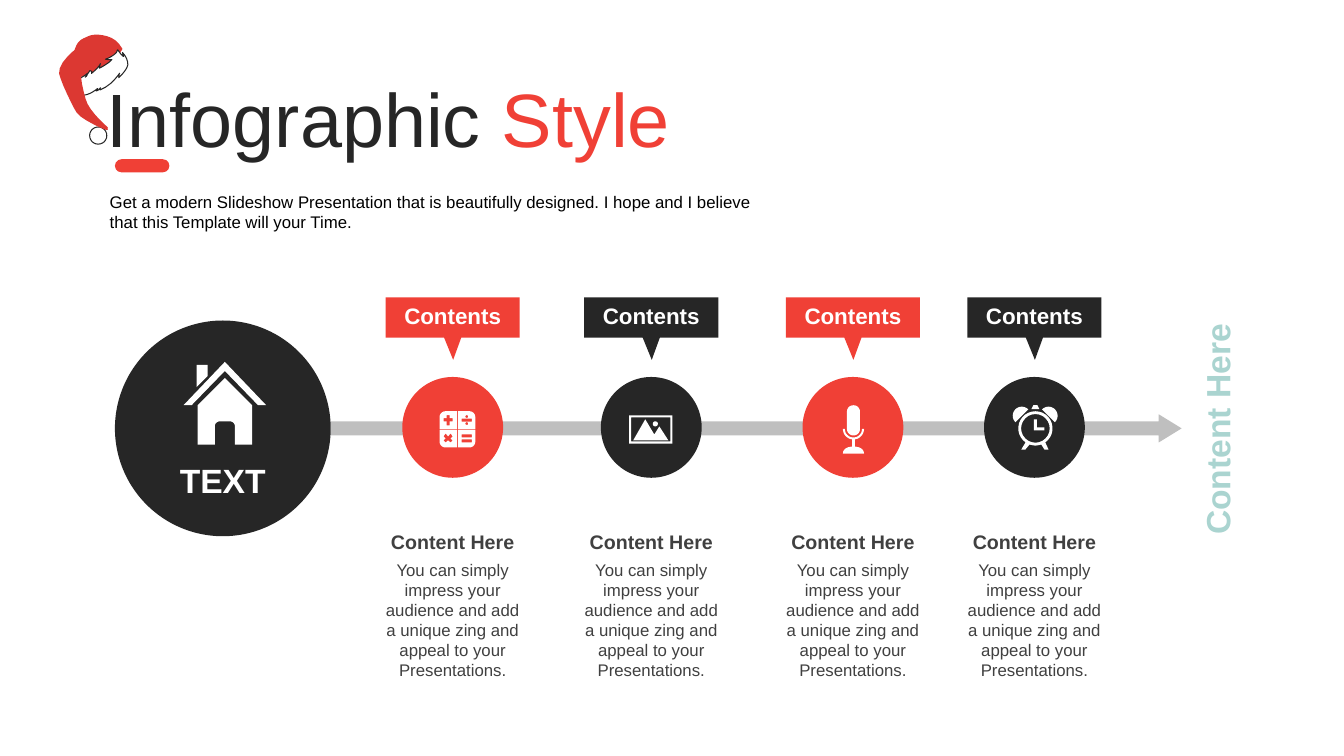
from math import cos, radians, sin

from pptx import Presentation
from pptx.dml.color import RGBColor
from pptx.enum.shapes import MSO_SHAPE
from pptx.enum.text import MSO_ANCHOR, MSO_AUTO_SIZE, PP_ALIGN
from pptx.util import Inches, Pt

HUES = {"red": "F04036", "dark": "262626", "gray": "BFBFBF", "text": "404040",
        "mint": "AAD4D0", "white": "FFFFFF", "black": "000000", "hat": "DC3832"}
CELL = Inches(0.01)
WIDE, HIGH = 1333, 750
BODY = ("You can simply impress your audience and add a unique zing "
        "and appeal to your Presentations.")


def hue(name):
    """Return a named colour."""
    return RGBColor.from_string(HUES[name])


def pts(text):
    """Turn 'x,y x,y' into a list of points."""
    return [tuple(float(n) for n in pair.split(",")) for pair in text.split()]


def arc(x, y, r, start=0, end=360):
    """Return points along a circular arc, in degrees."""
    turns = [radians(start + (end - start) * i / 24) for i in range(25)]
    return [(x + r * cos(t), y + r * sin(t)) for t in turns]


def box(x, y, w, h):
    """Return the corners of a rectangle."""
    return [(x, y), (x + w, y), (x + w, y + h), (x, y + h)]


def bend(text):
    """Sample a chain of cubic curves."""
    knots = pts(text)
    out = knots[:1]
    for i in range(0, len(knots) - 1, 3):
        for t in (n / 6 for n in range(1, 7)):
            mix = ((1 - t) ** 3, 3 * t * (1 - t) ** 2, 3 * t * t * (1 - t), t ** 3)
            out.append(tuple(sum(m * k[axis] for m, k in zip(mix, knots[i:i + 4]))
                             for axis in (0, 1)))
    return out


def paint(shape, fill, edge=None):
    """Set the fill and outline of a shape and drop its shadow."""
    shape.shadow.inherit = False
    shape.fill.solid()
    shape.fill.fore_color.rgb = hue(fill)
    if edge:
        shape.line.color.rgb = hue(edge)
        shape.line.width = Pt(0.75)
    else:
        shape.line.fill.background()
    return shape


def draw(slide, x, y, loops, fill, edge=None):
    """Draw closed outlines, given in cells from x and y."""
    fine = [[(round(a * 10), round(b * 10)) for a, b in loop] for loop in loops]
    pen = slide.shapes.build_freeform(*fine[0][0], scale=CELL / 10)
    for i, loop in enumerate(fine):
        if i:
            pen.move_to(*loop[0])
        pen.add_line_segments(loop[1:], close=True)
    return paint(pen.convert_to_shape(x * CELL, y * CELL), fill, edge)


def form(slide, kind, x, y, w, h, fill):
    """Add a preset shape."""
    cells = (n * CELL for n in (x, y, w, h))
    return paint(slide.shapes.add_shape(kind, *cells), fill)


def write(shape, runs, size, bold=False, align=PP_ALIGN.CENTER, anchor=MSO_ANCHOR.MIDDLE):
    """Fill a shape with one paragraph of coloured runs."""
    frame = shape.text_frame
    look = {"word_wrap": True, "auto_size": MSO_AUTO_SIZE.NONE, "vertical_anchor": anchor}
    for key, value in look.items():
        setattr(frame, key, value)
    para = frame.paragraphs[0]
    para.alignment = align
    for words, color in runs:
        run = para.add_run()
        run.text = words
        for key, value in {"name": "Arial", "size": Pt(size), "bold": bold}.items():
            setattr(run.font, key, value)
        run.font.color.rgb = hue(color)


def label(slide, x, y, w, h, words, color, size, **more):
    """Add a text box."""
    note = slide.shapes.add_textbox(*(n * CELL for n in (x, y, w, h)))
    write(note, [(words, color)], size, **more)
    return note


def calc():
    """Return the outlines of a calculator."""
    tile = arc(6, 6, 6, 180, 270) + pts("17.3,0 17.3,17.6 0,17.6")
    tiles = [[(abs(a - x), abs(b - y)) for x, y in tile] for a in (0, 35.5) for b in (0, 36)]
    plus = pts("7,4 10,4 10,7 13,7 13,10 10,10 10,14 7,14 7,10 4,10 4,7 7,7")
    times = pts("6,22 8.5,25 11,22 13,25 11,27 13,29 11,31 8.5,29 6,31 4,29 6,27 4,25")
    bars = [box(22, y, 10, 3) for y in (7.3, 23, 28)]
    return tiles + [plus, times, *bars, arc(27, 5.3, 1.4), arc(27, 12.3, 1.4)]


def photo():
    """Return the outlines of a framed landscape."""
    return [box(0, 0, 43, 28), box(2, 2, 39, 24),
            pts("4,25 16,4 25,19 30,11 39,25"), arc(26, 8.5, 2.5)]


def mic():
    """Return the outlines of a microphone."""
    return [arc(10.5, 6.5, 6.5, 180, 360) + arc(10.5, 23.5, 6.5, 0, 180),
            arc(10.5, 23.5, 10.5, 0, 180) + arc(10.5, 23.5, 8.5, 180, 0),
            box(9.2, 34, 2.6, 7), bend("0,48 0,43 5,41 10.5,41 16,41 21,43 21,48")]


def clock():
    """Return the outlines of an alarm clock."""
    case = (arc(22, 23, 17, 125, 415) + pts("35,44 31,44")
            + arc(22, 23, 17, 70, 110) + pts("12,44 8,44"))
    return [case, arc(22, 23, 14.2), pts("20.5,14 23.5,14 23.5,22 31,22 31,25 20.5,25"),
            arc(8.5, 10.5, 9, 135, 315), arc(35, 10.5, 9, 225, 405),
            pts("18,4 20,0 24,0 26,4")]


def house():
    """Return the outlines of a house."""
    door = arc(46, 64, 5, 270, 360) + pts("51,82 68,82 68,43 41,16 14,43 14,82 31,82")
    return [door + arc(36, 64, 5, 180, 270), pts("13,3 24,3 24,14 13,25"),
            pts("41,0 82,43 74,43 41,9 8,43 0,43")]


def hat(slide, x, y):
    """Draw the tilted winter hat."""
    crown = bend("8,38 7,37 5,36 4,35 3,27 7,19 12,14 16,8 19,2 26,1 33,0 33,-1 41,1 "
                 "50,4 58,9 61,21 56,26 50,31 44,36 37,36 28,36 22,37 17,37 14,37 8,38")
    fur = bend("65,24 65,26 65,28 65,28 64,27 64,26 63,25 62,22 61,20 61,20 59,25 47,26 47,26 "
               "49,27 53,28 53,28 49,31 39,33 39,33 39,32 41,29 41,29 39,32 30,36 30,36 "
               "32,34 29,33 29,33 26,36 23,38 23,38 26,37 26,35 26,35 26,35 20,38 14,38 "
               "8,39 7,35 7,35 5,39 8,44 8,44 7,45 6,43 6,43 8,47 13,53 13,53 "
               "12,53 11,52 11,52 11,54 13,55 13,55 14,55 16,55 17,55 24,56 32,52 32,52 "
               "31,54 30,54 30,54 33,54 35,52 35,52 34,53 34,54 34,54 46,53 57,43 57,43 "
               "56,44 55,47 55,47 55,47 65,42 67,37 69,31 65,24 65,24")
    tail = bend("31,97 31,97 14,84 10,75 7,66 3,42 3,33 4,23 26,12 30,13 35,13 28,31 25,37 "
                "22,42 22,55 22,64 22,74 30,88 36,97 35,98 37,102 31,97")
    parts = ((crown, "hat", None), (arc(36.5, 99.5, 8.5), "white", "dark"),
             (fur, "white", "dark"), (tail, "hat", None))
    for loop, fill, edge in parts:
        draw(slide, x, y, [loop], fill, edge).rotation = 345.1


def head(slide, x, y):
    """Place the title, its rule, its hat and the lead text."""
    title = slide.shapes.title
    place = {"left": x, "top": y, "width": 677, "height": 101}
    for key, value in place.items():
        setattr(title, key, value * CELL)
    write(title, [("Infographic", "dark"), (" Style", "red")], 54, align=PP_ALIGN.LEFT)
    label(slide, x + 3, y + 119, 674, 50,
          "Get a modern Slideshow Presentation that is beautifully designed. "
          "I hope and I believe that this Template will your Time.",
          "black", 12, align=PP_ALIGN.LEFT, anchor=MSO_ANCHOR.TOP)
    hat(slide, x - 35, y - 31)
    rule = form(slide, MSO_SHAPE.ROUNDED_RECTANGLE, x + 18, y + 92, 54, 13, "red")
    rule.adjustments[0] = 0.5


def axis(slide, x, y, size):
    """Place the start circle, the arrow and the upright caption."""
    arrow = form(slide, MSO_SHAPE.RIGHT_ARROW, x + size, y + 93, 844, 28, "gray")
    arrow.adjustments[1] = 0.812
    form(slide, MSO_SHAPE.OVAL, x, y, size, size, "dark")
    draw(slide, x + 68, y + 41, house(), "white")
    label(slide, x + 52, y + 133, 110, 50, "TEXT", "white", 24, bold=True)
    side = label(slide, x + 976, y + 83, 234, 50, "Content Here", "mint", 24, bold=True)
    side.rotation = 270


def step(slide, x, y, fill, icon, dx, dy):
    """Place one column: flag, icon circle, heading and text."""
    wide = 158
    flag = pts("0,0 133,0 133,40 75,40 67,62 58,40 0,40")
    draw(slide, x + 12.5, y, [flag], fill)
    label(slide, x + 12.5, y, 133, 37, "Contents", "white", 16, bold=True)
    form(slide, MSO_SHAPE.OVAL, x + 29, y + 79, 100, 100, fill)
    draw(slide, x + 29 + dx, y + 79 + dy, icon(), "white")
    label(slide, x, y + 225, wide, 34, "Content Here", "text", 14, bold=True)
    label(slide, x, y + 255, wide, 131, BODY, "text", 12, anchor=MSO_ANCHOR.TOP)


def main():
    """Build and save the slide."""
    deck = Presentation()
    deck.slide_width, deck.slide_height = WIDE * CELL, HIGH * CELL
    slide = deck.slides.add_slide(deck.slide_layouts[5])
    head(slide, 96, 66)
    axis(slide, 114, 318, 214)
    steps = ((370, "red", calc, 37, 34), (567, "dark", photo, 28, 38),
             (767, "red", mic, 40, 28), (947, "dark", clock, 29, 28))
    for x, *rest in steps:
        step(slide, x, 295, *rest)
    deck.save("out.pptx")


if __name__ == "__main__":
    main()
